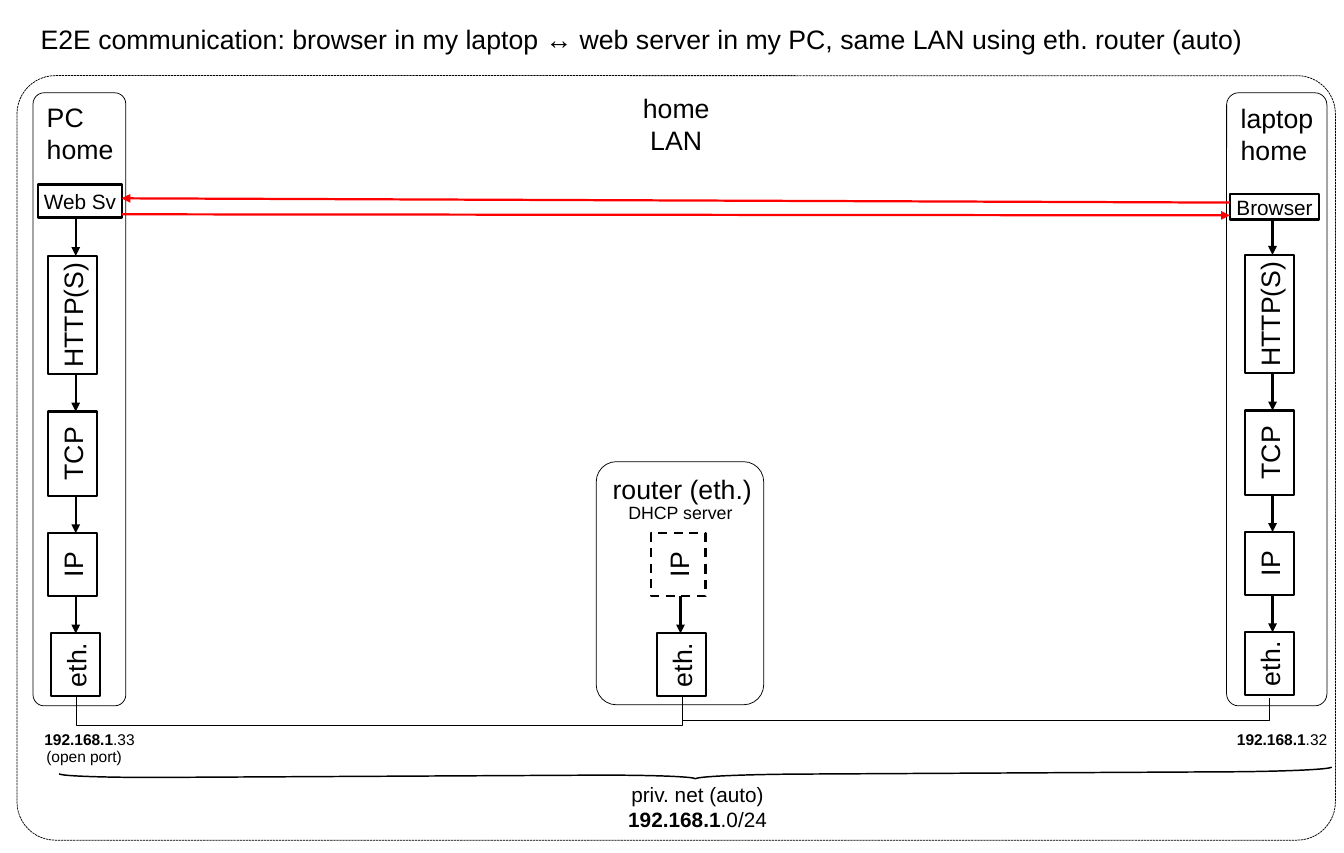
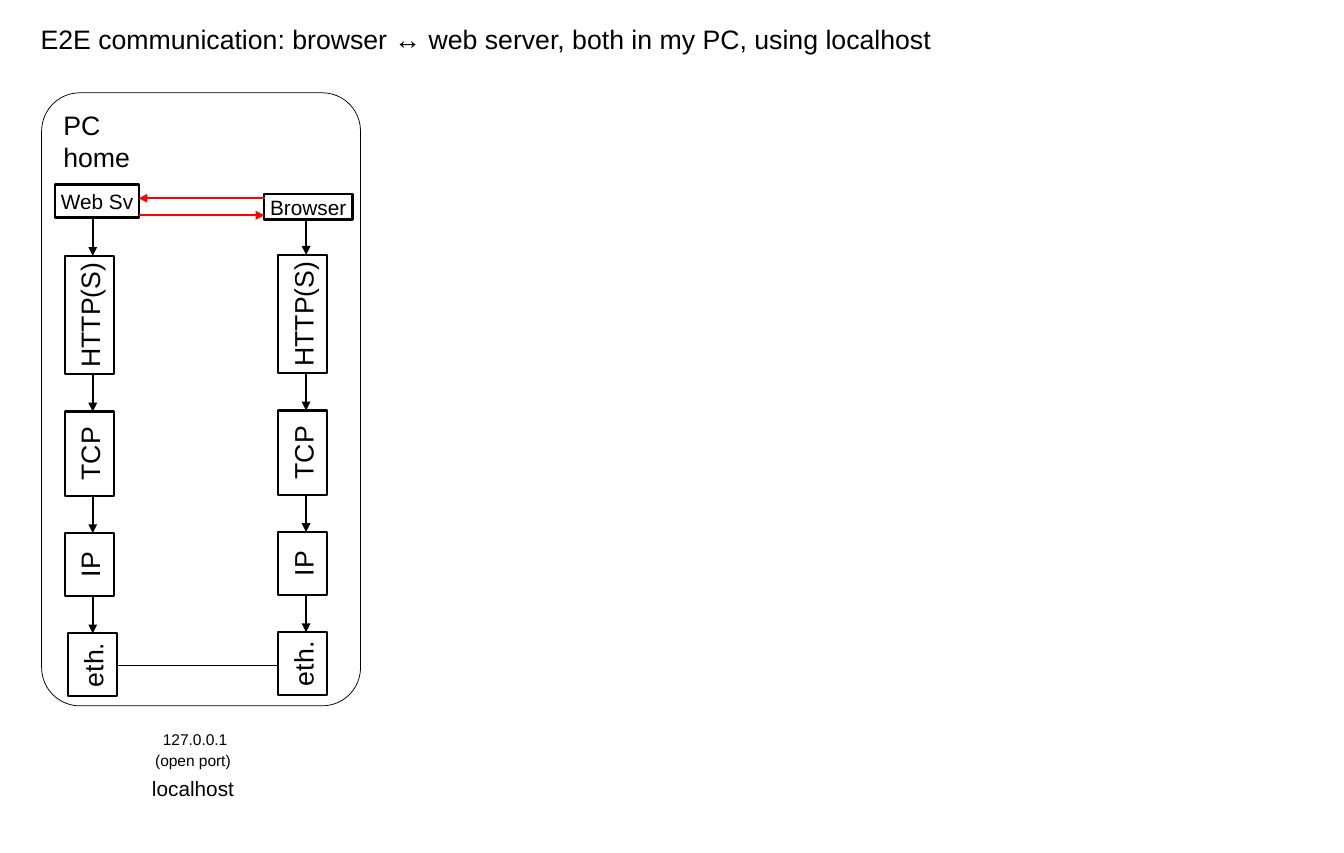
"""Build two diagrams of browser to web server communication."""
from dataclasses import dataclass
from typing import Any

import pptx
import pptx.dml.color
import pptx.enum.dml
import pptx.enum.shapes
import pptx.enum.text
import pptx.oxml
import pptx.oxml.ns
import pptx.util
from pptx.util import Inches

SHAPE = pptx.enum.shapes.MSO_SHAPE
CONNECTOR = pptx.enum.shapes.MSO_CONNECTOR
ANCHOR = pptx.enum.text.MSO_ANCHOR
ALIGN = pptx.enum.text.PP_ALIGN
DASH = pptx.enum.dml.MSO_LINE
DRAWING = pptx.oxml.ns.nsdecls("a")


@dataclass(frozen=True)
class Theme:
    font: str = "Arial"
    ink: str = "000000"
    traffic: str = "FF0000"
    large: float = 18
    medium: float = 14
    note: float = 12
    small: float = 10.5
    heavy: float = 1.5
    brace: float = 1
    thin: float = 0.5
    hairline: float = 0.1


@dataclass(frozen=True)
class Frame:
    left: float
    top: float
    width: float
    height: float


@dataclass(frozen=True)
class Label:
    text: str
    frame: Frame
    size: float


@dataclass(frozen=True)
class Layer:
    text: str
    length: float
    shift: float = 0


@dataclass(frozen=True)
class Application:
    text: str
    shift: float
    top: float
    width: float
    height: float
    stack_top: float
    layers: tuple[Layer, ...]


THEME = Theme()
GAP = 0.35
LAYER_WIDTH = 0.46
AXIS_SHIFT = 0.03
CORNER = 0.12
LAYERS = (Layer("HTTP(S)", 1.11), Layer("TCP", 0.79), Layer("IP", 0.59))
WEB_SERVER = Application("Web Sv", 0.04, 1.73, 0.79, 0.31, 2.4,
                         LAYERS + (Layer("eth.", 0.59, 0.03),))
BROWSER = Application("Browser", 0.02, 1.82, 0.83, 0.24, 2.39,
                      LAYERS + (Layer("eth.", 0.59),))


def assign(target: Any, values: dict[str, Any]) -> None:
    """Set every named attribute of the target."""
    for name, value in values.items():
        setattr(target, name, value)


def inches(frame: Frame) -> tuple[int, ...]:
    """Give the frame as lengths."""
    return tuple(Inches(side) for side in (frame.left, frame.top, frame.width, frame.height))


def write(box: Any, text: str, size: float, align: Any = ALIGN.CENTER,
          anchor: Any = ANCHOR.MIDDLE, margins: tuple[float, float] = (0.11, 0.06),
          wrap: bool = False) -> None:
    """Write paragraphs, switching bold at each asterisk."""
    frame = box.text_frame
    side, edge = (Inches(margin) for margin in margins)
    assign(frame, {"word_wrap": wrap, "vertical_anchor": anchor, "margin_left": side,
                   "margin_right": side, "margin_top": edge, "margin_bottom": edge})
    for index, line in enumerate(text.split("\n")):
        para = frame.add_paragraph() if index else frame.paragraphs[0]
        para.alignment = align
        for order, piece in enumerate(line.split("*")):
            for row, part in enumerate(piece.split("\v")):
                if row:
                    para.add_line_break()
                if part:
                    span = para.add_run()
                    span.text = part
                    assign(span.font, {"name": THEME.font, "size": pptx.util.Pt(size),
                                       "bold": order % 2 == 1})
                    span.font.color.rgb = pptx.dml.color.RGBColor.from_string(THEME.ink)


def stroke(item: Any, weight: float, color: str = THEME.ink, dash: Any = None) -> None:
    """Format a line or an outline."""
    item.line.color.rgb = pptx.dml.color.RGBColor.from_string(color)
    assign(item.line, {"width": pptx.util.Pt(weight), "dash_style": dash})


def outline(page: Any, kind: Any, frame: Frame, weight: float, dash: Any = None) -> Any:
    """Draw an unfilled preset shape."""
    box = page.shapes.add_shape(kind, *inches(frame))
    box.shadow.inherit = False
    box.fill.background()
    stroke(box, weight, dash=dash)
    return box


def add_label(page: Any, label: Label) -> None:
    """Draw centred free text that uses its full frame width."""
    write(page.shapes.add_textbox(*inches(label.frame)), label.text, label.size,
          margins=(0, 0))


def add_container(page: Any, text: str, frame: Frame, align: Any = ALIGN.LEFT,
                  corner: float = CORNER, dash: Any = None) -> None:
    """Draw a rounded container named at its top."""
    box = outline(page, SHAPE.ROUNDED_RECTANGLE, frame, THEME.thin, dash)
    box.adjustments[0] = corner
    write(box, text, THEME.large, align, ANCHOR.TOP, (0.1, 0.05))


def add_line(page: Any, start: tuple[float, float], end: tuple[float, float],
             weight: float = THEME.heavy, color: str = THEME.ink,
             arrow: bool = True, kind: Any = CONNECTOR.STRAIGHT) -> Any:
    """Draw a connector, with an arrowhead at its end if asked."""
    line = page.shapes.add_connector(kind, *(Inches(value) for value in start + end))
    stroke(line, weight, color)
    if arrow:
        line.line._get_or_add_ln().append(
            pptx.oxml.parse_xml(f'<a:tailEnd {DRAWING} type="triangle"/>'))
    line._element.spPr.append(pptx.oxml.parse_xml(f"<a:effectLst {DRAWING}/>"))
    return line


def add_wire(page: Any, left: float, right: float, top: float, drop: float) -> None:
    """Draw a U-shaped cable hanging below two network cards."""
    span, depth = right - left, 0.01
    wire = add_line(page, (left, top), (right, top), THEME.hairline, arrow=False,
                    kind=CONNECTOR.ELBOW)
    assign(wire, {"left": Inches((left + right - depth) / 2), "top": Inches(top - span / 2),
                  "width": Inches(depth), "height": Inches(span)})
    properties = wire._element.spPr
    transform = properties.find(pptx.oxml.ns.qn("a:xfrm"))
    transform.set("rot", str(270 * 60000))
    transform.set("flipH", "1")
    guides = properties.find(pptx.oxml.ns.qn("a:prstGeom")).get_or_add_avLst()
    ratio = round(drop / depth * 100000)
    guides.append(pptx.oxml.parse_xml(f'<a:gd {DRAWING} name="adj1" fmla="val {ratio}"/>'))


def add_layer(page: Any, text: str, center: float, top: float, length: float,
              width: float = LAYER_WIDTH, dash: Any = None) -> None:
    """Draw a protocol box whose text reads upwards."""
    frame = Frame(center - length / 2, top + (length - width) / 2, length, width)
    box = outline(page, SHAPE.RECTANGLE, frame, THEME.heavy, dash)
    box.rotation = 270
    write(box, text, THEME.large)


def add_stack(page: Any, axis: float, application: Application) -> None:
    """Draw an application above its protocol layers."""
    frame = Frame(axis + application.shift - application.width / 2, application.top,
                  application.width, application.height)
    write(outline(page, SHAPE.RECTANGLE, frame, THEME.heavy), application.text, THEME.medium)
    bottom, top = application.top + application.height, application.stack_top
    for layer in application.layers:
        add_line(page, (axis, bottom), (axis, top))
        add_layer(page, layer.text, axis - AXIS_SHIFT + layer.shift, top, layer.length)
        bottom = top + layer.length
        top = bottom + GAP


def add_page(deck: Any, title: str) -> Any:
    """Add a slide with the shared title style."""
    page = deck.slides.add_slide(deck.slide_layouts[5])
    box = page.shapes.title
    left, top, width, height = inches(Frame(0.28, 0.16, 11.77, 0.38))
    assign(box, {"left": left, "top": top, "width": width, "height": height})
    box.text_frame.auto_size = pptx.enum.text.MSO_AUTO_SIZE.NONE
    write(box, title, THEME.large, ALIGN.LEFT, ANCHOR.TOP, (0.1, 0.05), True)
    return page


def build_lan(deck: Any) -> None:
    """Show a laptop and a PC joined by a router."""
    page = add_page(deck, "E2E communication: browser in my laptop ↔ web server in my PC, "
                          "same LAN using eth. router (auto)")
    add_container(page, "home\nLAN", Frame(0.16, 0.71, 12.36, 7.17), ALIGN.CENTER, 0.05,
                  DASH.SQUARE_DOT)
    add_container(page, "PC\vhome", Frame(0.31, 0.87, 0.87, 5.75))
    add_container(page, "router (eth.)", Frame(5.59, 4.33, 1.57, 2.28))
    add_container(page, "laptop\vhome", Frame(11.5, 0.87, 0.94, 5.75))
    add_stack(page, 0.71, WEB_SERVER)
    add_stack(page, 11.93, BROWSER)
    add_layer(page, "IP", 6.36, 5, 0.59, 0.51, DASH.DASH)
    add_line(page, (6.38, 5.59), (6.38, 5.94))
    add_layer(page, "eth.", 6.39, 5.94, 0.59)
    add_line(page, (1.14, 2.01), (11.53, 2.02), color=THEME.traffic)
    add_line(page, (11.53, 1.9), (1.14, 1.86), color=THEME.traffic)
    add_wire(page, 0.71, 6.39, 6.54, 0.27)
    add_wire(page, 6.39, 11.9, 6.54, 0.22)
    brace = outline(page, SHAPE.LEFT_BRACE, Frame(6.48, 1.3, 0.08, 11.93), THEME.brace)
    brace.rotation = 269.7
    brace.adjustments[0] = 12.4
    for label in (
        Label("priv. net (auto)\v*192.168.1*.0/24", Frame(5.74, 7.41, 1.6, 0.31), THEME.medium),
        Label("*192.168.1*.33", Frame(0.34, 6.78, 1, 0.31), THEME.small),
        Label("*192.168.1*.32", Frame(11.52, 6.78, 1, 0.31), THEME.small),
        Label("(open port)", Frame(0.16, 6.94, 1.26, 0.31), THEME.small),
        Label("DHCP server", Frame(5.75, 4.65, 1.26, 0.31), THEME.note),
    ):
        add_label(page, label)


def build_localhost(deck: Any) -> None:
    """Show both ends inside one PC."""
    page = add_page(deck, "E2E communication: browser ↔ web server, both in my PC, "
                          "using localhost")
    add_container(page, "PC\vhome", Frame(0.39, 0.87, 2.99, 5.75))
    add_stack(page, 0.87, WEB_SERVER)
    add_stack(page, 2.87, BROWSER)
    add_line(page, (2.48, 1.86), (1.3, 1.86), color=THEME.traffic)
    add_line(page, (1.3, 2.02), (2.48, 2.02), color=THEME.traffic)
    add_line(page, (1.1, 6.24), (2.6, 6.24), THEME.hairline, arrow=False)
    for label in (
        Label("127.0.0.1", Frame(1.33, 6.78, 1, 0.31), THEME.small),
        Label("(open port)", Frame(1.18, 6.98, 1.26, 0.31), THEME.small),
        Label("localhost", Frame(1.18, 7.24, 1.26, 0.31), THEME.medium),
    ):
        add_label(page, label)


def main() -> None:
    """Build and save the deck."""
    deck = pptx.Presentation()
    assign(deck, {"slide_width": Inches(12.6), "slide_height": Inches(8)})
    build_lan(deck)
    build_localhost(deck)
    deck.save("out.pptx")


if __name__ == "__main__":
    main()
